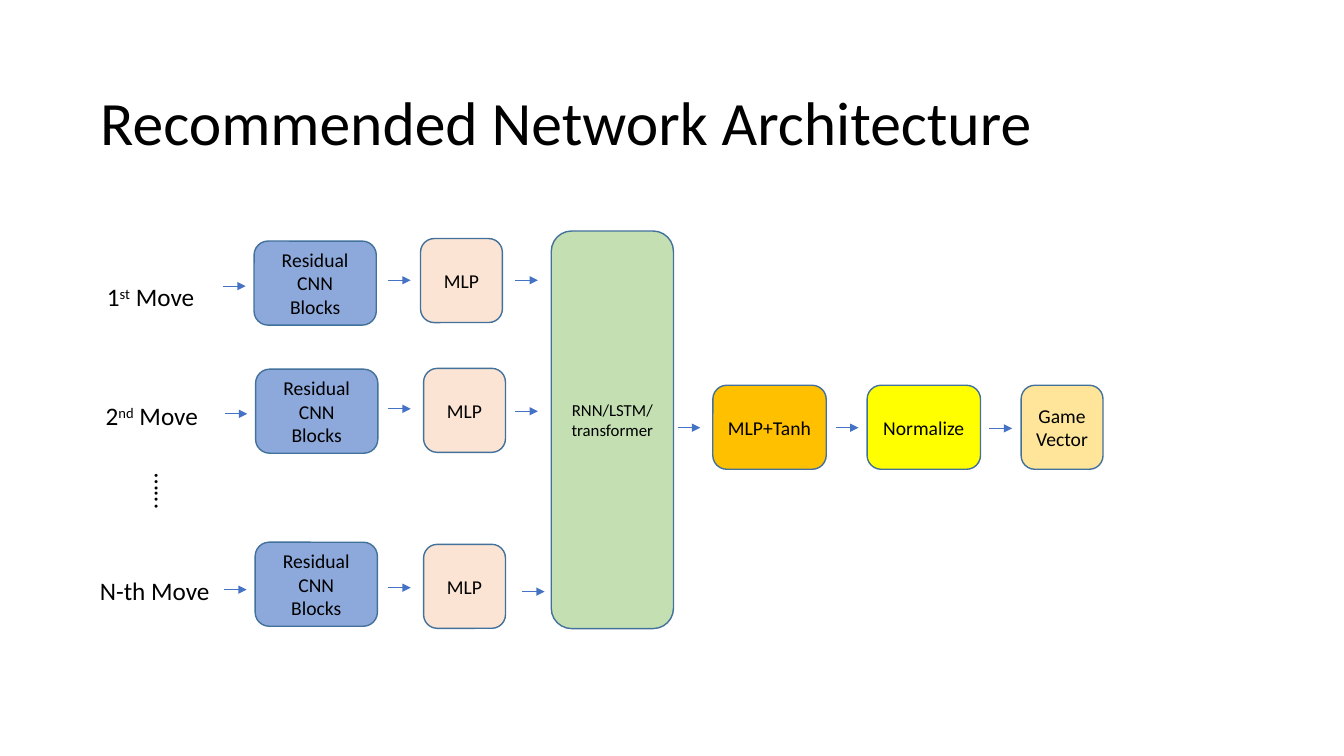
from lxml import etree
from pptx import Presentation
from pptx.dml.color import RGBColor
from pptx.enum import shapes as es, text as et
from pptx.oxml import ns
from pptx.util import Pt

BLACK = RGBColor(0, 0, 0)
EDGE = RGBColor(0x42, 0x71, 0x9B)
ARROW = RGBColor(0x44, 0x72, 0xC4)
BLUE = RGBColor(0x8D, 0xA9, 0xDB)
PEACH = RGBColor(0xFB, 0xE4, 0xD4)
GREEN = RGBColor(0xC4, 0xE0, 0xB2)
ORANGE = RGBColor(0xFF, 0xC0, 0x00)
YELLOW = RGBColor(0xFF, 0xFF, 0x00)
CREAM = RGBColor(0xFE, 0xE5, 0x99)

deck = Presentation()
deck.slide_width, deck.slide_height = Pt(960), Pt(540)
slide = deck.slides.add_slide(deck.slide_layouts[5])
items = slide.shapes


def style(frame, size, align):
    for para in frame.paragraphs:
        para.alignment = align
        for run in para.runs:
            run.font.size = Pt(size)
            run.font.name = "Calibri"
            run.font.color.rgb = BLACK


def block(words, fill, left, top, width, height=60, size=14):
    box = items.add_shape(es.MSO_SHAPE.ROUNDED_RECTANGLE,
                          Pt(left), Pt(top), Pt(width), Pt(height))
    box.shadow.inherit = False
    box.fill.solid()
    box.fill.fore_color.rgb = fill
    box.line.color.rgb = EDGE
    box.line.width = Pt(1)
    frame = box.text_frame
    frame.text = words
    frame.vertical_anchor = et.MSO_ANCHOR.MIDDLE
    style(frame, size, et.PP_ALIGN.CENTER)
    return box


# Title
title = items.title
title.left, title.top, title.width, title.height = Pt(64.4), Pt(37.5), Pt(828), Pt(104.4)
frame = title.text_frame
frame.text = "Recommended Network Architecture"
frame.auto_size = et.MSO_AUTO_SIZE.NONE
frame.vertical_anchor = et.MSO_ANCHOR.MIDDLE
frame.paragraphs[0].line_spacing = 0.9
style(frame, 44, et.PP_ALIGN.LEFT)

# Move branches: left and top of the CNN block, then of the MLP block
for left, top, mlp_left, mlp_top in [
    (181.5, 172.2, 300.4, 170.4),
    (182.6, 263.7, 302.6, 263.1),
    (182.3, 387.3, 302.6, 388.8),
]:
    block("Residual\nCNN\nBlocks", BLUE, left, top, 87.3)
    block("MLP", PEACH, mlp_left, mlp_top, 58.5)

# Sequence model, its text raised by one line
model = block("RNN/LSTM/\ntransformer", GREEN, 393.8, 165, 87.3, 284, 12)
model.text_frame.margin_bottom = Pt(18.2)

# Output stages
for words, fill, left, width in [
    ("MLP+Tanh", ORANGE, 509.2, 81),
    ("Normalize", YELLOW, 619.4, 81),
    ("Game\nVector", CREAM, 729.4, 58.5),
]:
    block(words, fill, left, 275.2, width)

# Arrows of equal length: start x, y
for x, y in [
    (159.3, 204.4), (160.4, 295.6), (160, 421.2),
    (277.2, 200.2), (277.2, 292), (277.2, 419.8),
    (368, 200.2), (368, 293.8), (372.8, 422.6),
    (484, 305.5), (597, 305.5), (706.8, 306),
]:
    line = items.add_connector(es.MSO_CONNECTOR.STRAIGHT, Pt(x), Pt(y), Pt(x + 16.2), Pt(y))
    line.line.color.rgb = ARROW
    line.line.width = Pt(0.75)
    etree.SubElement(line.line._get_or_add_ln(), ns.qn("a:tailEnd"), type="triangle")
    etree.SubElement(line._element.spPr, ns.qn("a:effectLst"))

# Move labels, the second part raised
for parts, left, top, width, turn in [
    (("1", "st", " Move"), 69.3, 197.5, 78.5, 0),
    (("2", "nd", " Move"), 68.4, 282.5, 82.8, 0),
    (("N-th Move",), 64.3, 407.7, 93.6, 0),
    (("…...",), 90.7, 343.4, 54, 90),
]:
    label = items.add_textbox(Pt(left), Pt(top), Pt(width), Pt(29))
    label.rotation = turn
    frame = label.text_frame
    frame.word_wrap = False
    para = frame.paragraphs[0]
    for part in parts:
        para.add_run().text = part
    style(frame, 18, et.PP_ALIGN.LEFT)
    for run in para.runs[1:2]:
        run._r.get_or_add_rPr().set("baseline", "30000")

deck.save("out.pptx")
